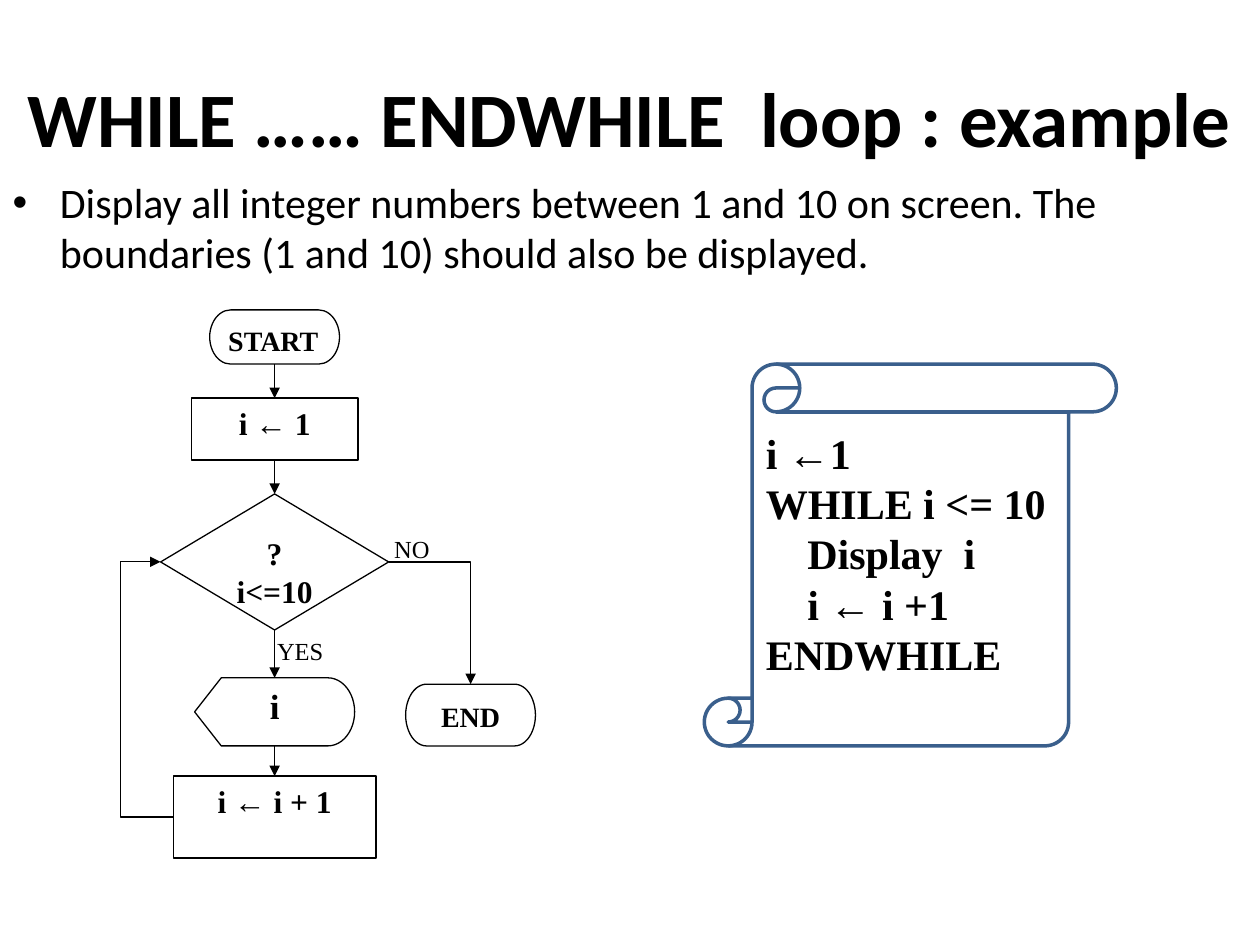
from dataclasses import dataclass
from itertools import pairwise

from lxml.etree import SubElement
from pptx import Presentation
from pptx.dml.color import RGBColor
from pptx.enum.shapes import MSO_CONNECTOR, MSO_SHAPE
from pptx.enum.text import MSO_ANCHOR, PP_ALIGN
from pptx.oxml.ns import qn
from pptx.util import Inches, Pt


@dataclass(frozen=True)
class Theme:
    ink: RGBColor = RGBColor(0, 0, 0)
    paper: RGBColor = RGBColor(255, 255, 255)
    scroll: RGBColor = RGBColor(0x3A, 0x5F, 0x8C)
    sans: str = "Calibri"
    serif: str = "Times New Roman"
    title: int = 44
    body: int = 24
    code: int = 24
    big: int = 20
    step: int = 18
    end: int = 16
    label: int = 14
    thin: float = 0.75
    thick: float = 2


THEME = Theme()
TOP, LEFT, BOTTOM, RIGHT = range(4)


def write(shape, text, size, font=THEME.serif, bold=True,
          align=PP_ALIGN.LEFT, anchor=MSO_ANCHOR.TOP, tab=0):
    """Fill a shape with text; a leading tab indents a line by `tab` inches."""
    frame = shape.text_frame
    frame.word_wrap = True
    frame.vertical_anchor = anchor
    for num, line in enumerate(text.split("\n")):
        para = frame.add_paragraph() if num else frame.paragraphs[0]
        para.alignment = align
        if line.startswith("\t"):
            para._p.get_or_add_pPr().set("marL", str(Inches(tab)))
        run = para.add_run()
        run.text = line.strip("\t")
        run.font.name = font
        run.font.size = Pt(size)
        run.font.bold = bold
        run.font.color.rgb = THEME.ink


def place(shape, x, y, w, h):
    shape.left, shape.top = Inches(x), Inches(y)
    shape.width, shape.height = Inches(w), Inches(h)


def node(slide, kind, x, y, w, h, text, size, align=PP_ALIGN.CENTER):
    shape = slide.shapes.add_shape(kind, Inches(x), Inches(y), Inches(w), Inches(h))
    shape.shadow.inherit = False
    shape.fill.solid()
    shape.fill.fore_color.rgb = THEME.paper
    shape.line.color.rgb = THEME.ink
    shape.line.width = Pt(THEME.thin)
    write(shape, text, size, align=align)
    return shape


def label(slide, x, y, w, h, text, size, **style):
    box = slide.shapes.add_textbox(Inches(x), Inches(y), Inches(w), Inches(h))
    write(box, text, size, **style)


def arrow(slide, start, out, end, into, kind=MSO_CONNECTOR.STRAIGHT):
    link = slide.shapes.add_connector(kind, 0, 0, 0, 0)
    link.begin_connect(start, out)
    link.end_connect(end, into)
    link.line.color.rgb = THEME.ink
    link.line.width = Pt(THEME.thin)
    SubElement(link.line._get_or_add_ln(), qn("a:tailEnd"), type="triangle")
    SubElement(link._element.spPr, qn("a:effectLst"))
    return link


def heading(slide, x, y, w, h):
    place(slide.shapes.title, x, y, w, h)
    write(slide.shapes.title, "WHILE …… ENDWHILE  loop : example", THEME.title,
          font=THEME.sans, align=PP_ALIGN.CENTER, anchor=MSO_ANCHOR.MIDDLE)


def task(slide, x, y, w, h):
    body = slide.placeholders[1]
    place(body, x, y, w, h)
    write(body, "Display all integer numbers between 1 and 10 on screen. "
          "The boundaries (1 and 10) should also be displayed.",
          THEME.body, font=THEME.sans, bold=False)


def flow(slide, x, y, w, h):
    axis = x + 1.22
    # Labels on the branches
    label(slide, x + 1.14, y + 2.54, 0.59, 0.38, "YES", THEME.label, bold=False)
    label(slide, x + 2.07, y + 1.73, 0.59, 0.38, "NO", THEME.label, bold=False)

    # Main column, centred on the axis: kind, top, width, height, text, size
    steps = [
        (MSO_SHAPE.FLOWCHART_TERMINATOR, 0, 1.03, 0.43, "START", THEME.end),
        (MSO_SHAPE.FLOWCHART_PROCESS, 0.7, 1.32, 0.49, "i ← 1", THEME.step),
        (MSO_SHAPE.FLOWCHART_DECISION, 1.46, 1.81, 1.08, "?\ni<=10", THEME.step),
        (MSO_SHAPE.FLOWCHART_DISPLAY, 2.92, 1.27, 0.54, "i", THEME.big),
        (MSO_SHAPE.FLOWCHART_PROCESS, 3.7, 1.61, 0.65, "i ← i + 1", THEME.step),
    ]
    nodes = []
    for kind, top, wide, high, text, size in steps:
        align = PP_ALIGN.CENTER if nodes else PP_ALIGN.LEFT
        nodes.append(node(slide, kind, axis - wide / 2, y + top, wide, high,
                          text, size, align))
    for upper, lower in pairwise(nodes):
        arrow(slide, upper, BOTTOM, lower, TOP)

    # Exit branch
    test, last = nodes[2], nodes[-1]
    end = node(slide, MSO_SHAPE.FLOWCHART_TERMINATOR, x + w - 1.03, y + 2.97,
               1.03, 0.49, "END", THEME.end)
    leave = arrow(slide, test, RIGHT, end, TOP, MSO_CONNECTOR.ELBOW)
    leave._element.spPr.find(qn("a:prstGeom")).set("prst", "bentConnector2")

    # Loop back along the left edge of the box
    back = arrow(slide, last, LEFT, test, LEFT, MSO_CONNECTOR.ELBOW)
    bend = round((last.left - Inches(x)) / (last.left - test.left) * 100000)
    guides = back._element.spPr.find(qn("a:prstGeom")).find(qn("a:avLst"))
    SubElement(guides, qn("a:gd"), name="adj1", fmla=f"val {bend}")


def code(slide, x, y, w, h):
    scroll = slide.shapes.add_shape(MSO_SHAPE.VERTICAL_SCROLL, Inches(x),
                                    Inches(y), Inches(w), Inches(h))
    scroll.shadow.inherit = False
    scroll.fill.background()
    scroll.line.color.rgb = THEME.scroll
    scroll.line.width = Pt(THEME.thick)
    label(slide, x + 0.39, y + 0.45, 2.5, 2.12,
          "i ←1\nWHILE i <= 10\n\tDisplay  i\n\ti ← i +1\nENDWHILE",
          THEME.code, tab=0.33)


def main():
    deck = Presentation()
    deck.slide_width, deck.slide_height = Inches(10), Inches(7.5)
    slide = deck.slides.add_slide(deck.slide_layouts[1])
    heading(slide, 0, 0.3, 10, 1.25)
    task(slide, 0, 1.35, 10, 0.94)
    flow(slide, 0.96, 2.46, 3.29, 4.35)
    code(slide, 5.59, 2.89, 3.27, 3.03)
    deck.save("out.pptx")


if __name__ == "__main__":
    main()
